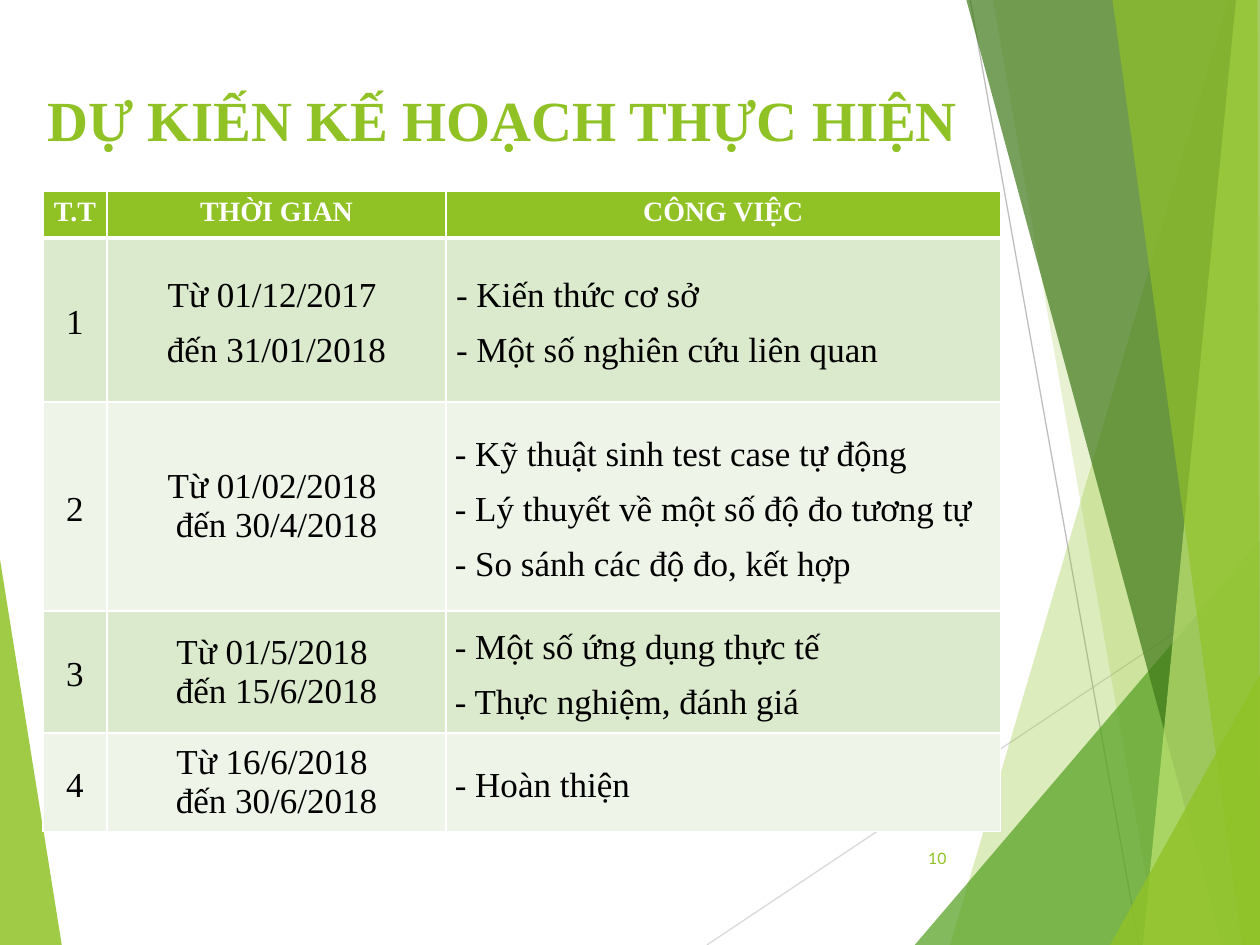
import pptx
import pptx.dml.color
import pptx.enum.shapes
import pptx.enum.text
import pptx.oxml
import pptx.oxml.ns
import pptx.util

ALIGN = pptx.enum.text.PP_ALIGN
ANCHOR = pptx.enum.text.MSO_ANCHOR
GREEN, WHITE, BLACK = "90C226", "FFFFFF", "000000"
BANDS = ["DBE9CD", "EEF4E8"]


def color(value):
    return pptx.dml.color.RGBColor.from_string(value)


def element(tag, **attributes):
    node = pptx.oxml.parse_xml(f"<a:{tag} {pptx.oxml.ns.nsdecls('a')}/>")
    for name, value in attributes.items():
        node.set(name, str(value))
    return node


class SlideBuilder:
    """Places elements on a grid of 100 columns by 75 rows."""

    font = "Times New Roman"

    def __init__(self, presentation):
        self.unit = presentation.slide_width / 100
        self.slide = presentation.slides.add_slide(presentation.slide_layouts[6])

    def grid(self, *lengths):
        return [pptx.util.Emu(round(length * self.unit)) for length in lengths]

    def polygon(self, points, fill, opacity):
        corners = [tuple(self.grid(*point)) for point in points]
        builder = self.slide.shapes.build_freeform(*corners[0])
        builder.add_line_segments(corners[1:])
        shape = builder.convert_to_shape()
        shape.shadow.inherit = False
        shape.fill.solid()
        shape.fill.fore_color.rgb = color(fill)
        shape.line.fill.background()
        fill_color = shape.fill._xPr.find(".//" + pptx.oxml.ns.qn("a:srgbClr"))
        fill_color.append(element("alpha", val=opacity * 1000))

    def line(self, start, end, stroke):
        connector = self.slide.shapes.add_connector(
            pptx.enum.shapes.MSO_CONNECTOR.STRAIGHT, *self.grid(*start, *end))
        connector.line.color.rgb = color(stroke)
        connector.line.width = pptx.util.Pt(0.75)
        connector._element.spPr.append(element("effectLst"))

    def format_text(self, frame, text, size, ink, align, bold=False, font=None, spaced=False):
        frame.text = text
        for paragraph in frame.paragraphs:
            paragraph.alignment = align
            if spaced:
                paragraph.line_spacing = 1.15
                paragraph.space_after = pptx.util.Pt(6)
            for run in paragraph.runs:
                run.font.name = font or self.font
                run.font.size = pptx.util.Pt(size)
                run.font.bold = bold
                run.font.color.rgb = color(ink)

    def text(self, box, text, size, align, anchor, top_inset=0.5, **style):
        frame = self.slide.shapes.add_textbox(*self.grid(*box)).text_frame
        frame.word_wrap = True
        frame.vertical_anchor = anchor
        frame.margin_top = self.grid(top_inset)[0]
        self.format_text(frame, text, size, GREEN, align, **style)

    def borders(self, cell, top, bottom):
        properties = cell._tc.get_or_add_tcPr()
        widths = {"lnL": 1, "lnR": 1, "lnT": top, "lnB": bottom}
        for index, (tag, width) in enumerate(widths.items()):
            border = element(tag, w=pptx.util.Pt(width))
            fill = element("solidFill")
            fill.append(element("srgbClr", val=WHITE))
            border.append(fill)
            properties.insert(index, border)

    def cell(self, cell, text, row, column):
        header = row == 0
        # Number cells and the first body row have no vertical inset
        if not header and column == 0:
            side, edge = 0.5, 0
        elif row == 1:
            side, edge = 0.8, 0
        else:
            side, edge = 0.7, 0.4
        cell.margin_left, cell.margin_right, cell.margin_top, cell.margin_bottom = self.grid(
            side, side, edge, edge)
        cell.vertical_anchor = ANCHOR.TOP if header else ANCHOR.MIDDLE
        cell.fill.solid()
        cell.fill.fore_color.rgb = color(GREEN if header else BANDS[(row - 1) % 2])
        self.borders(cell, 3 if row == 1 else 1, 3 if header else 1)
        self.format_text(
            cell.text_frame, text, 16 if header else 20, WHITE if header else BLACK,
            ALIGN.JUSTIFY if column == 2 and not header else ALIGN.CENTER, bold=header,
            spaced=not header and (column != 1 or row == 1))

    def table(self, left, top, columns, rows, contents):
        box = self.grid(left, top, sum(columns), sum(rows))
        table = self.slide.shapes.add_table(len(rows), len(columns), *box).table
        for column, width in zip(table.columns, self.grid(*columns)):
            column.width = width
        for row, height in zip(table.rows, self.grid(*rows)):
            row.height = height
        for row, texts in enumerate(contents):
            for column, text in enumerate(texts):
                self.cell(table.cell(row, column), text, row, column)


# Background facets: corner points, fill, opacity in percent
LEFT_FACET = ([(0, 44.4), (4.9, 75), (0, 75)], GREEN, 85)
RIGHT_FACETS = [
    ([(97.5, 0), (75.4, 75), (100, 75), (100, 0)], GREEN, 30),
    ([(78.8, 0), (91.9, 75), (100, 75), (100, 0)], GREEN, 20),
    ([(72.6, 75), (100, 42.9), (100, 75)], "54A021", 72),
    ([(76.7, 0), (97, 75), (100, 75), (100, 0)], "3F7819", 70),
    ([(98.1, 0), (90.7, 75), (100, 75), (100, 0)], "C0E474", 70),
    ([(88.3, 0), (98.6, 75), (100, 75), (99.8, 0)], GREEN, 65),
    ([(88.1, 75), (100, 53.5), (100, 75)], GREEN, 80),
]

PLAN = [
    ("T.T", "THỜI GIAN", "CÔNG VIỆC"),
    ("1", "Từ 01/12/2017 \nđến 31/01/2018",
     "- Kiến thức cơ sở\n- Một số nghiên cứu liên quan"),
    ("2", "Từ 01/02/2018 \nđến 30/4/2018",
     "- Kỹ thuật sinh test case tự động\n- Lý thuyết về một số độ đo tương tự\n"
     "- So sánh các độ đo, kết hợp"),
    ("3", "Từ 01/5/2018 \nđến 15/6/2018",
     "- Một số ứng dụng thực tế\n- Thực nghiệm, đánh giá"),
    ("4", "Từ 16/6/2018 \nđến 30/6/2018", "- Hoàn thiện"),
]


def main():
    presentation = pptx.Presentation()
    presentation.slide_width = pptx.util.Inches(10)
    presentation.slide_height = pptx.util.Inches(7.5)
    builder = SlideBuilder(presentation)

    # Background
    builder.polygon(*LEFT_FACET)
    builder.line((56.1, 75), (100, 45.7), "D9D9D9")
    builder.line((77, 0), (90.4, 75), "BFBFBF")
    for facet in RIGHT_FACETS:
        builder.polygon(*facet)

    # Title, schedule and page number
    builder.text((2.8, 5.6, 75, 6), "DỰ KIẾN KẾ HOẠCH THỰC HIỆN", 32.4,
                 ALIGN.LEFT, ANCHOR.TOP, top_inset=1.1, bold=True)
    builder.table(3.4, 15.2, [5.1, 26.9, 44], [3.7, 13, 16.6, 9.7, 7.8], PLAN)
    builder.text((70.5, 66.1, 5.6, 4), "10", 9, ALIGN.RIGHT, ANCHOR.MIDDLE, font="Lato")

    presentation.save("out.pptx")


if __name__ == "__main__":
    main()
